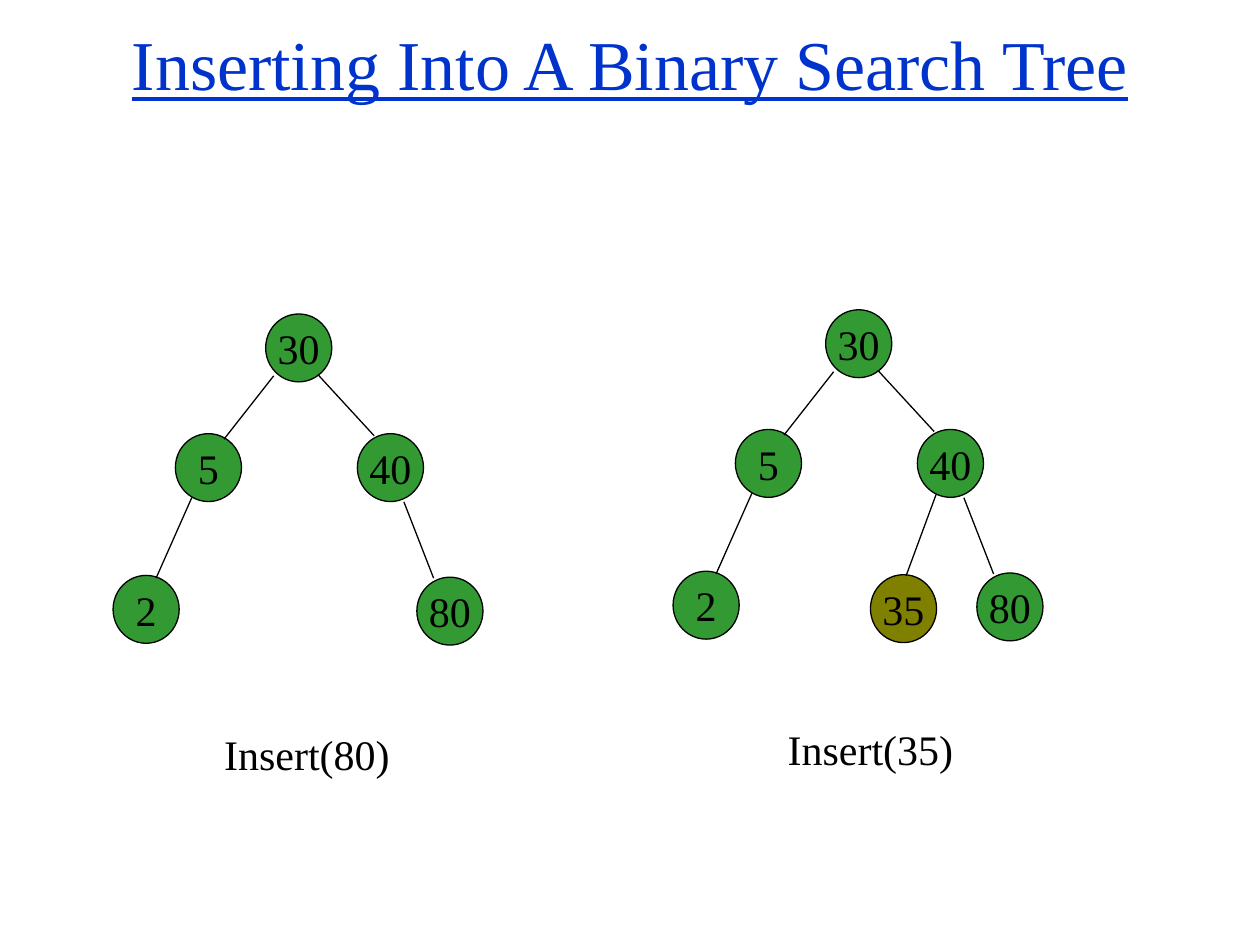
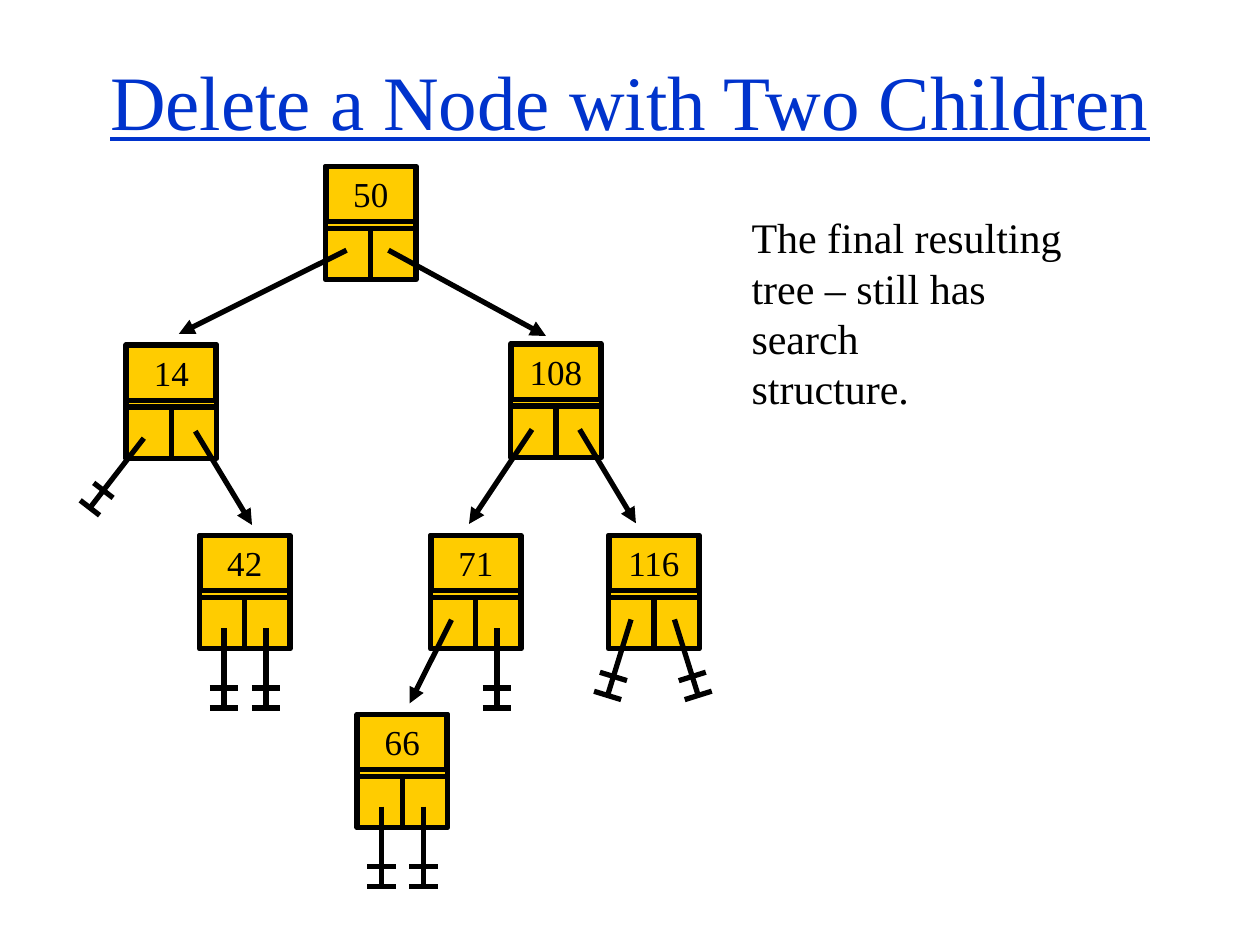
import math

import pptx
import pptx.dml.color
import pptx.enum.shapes
import pptx.enum.text
import pptx.oxml
import pptx.oxml.ns
import pptx.util

Pt = pptx.util.Pt
RGBColor = pptx.dml.color.RGBColor
MSO_SHAPE = pptx.enum.shapes.MSO_SHAPE
PP_ALIGN = pptx.enum.text.PP_ALIGN
MSO_ANCHOR = pptx.enum.text.MSO_ANCHOR

BLUE = RGBColor(0x00, 0x33, 0xCC)
BLACK = RGBColor(0x00, 0x00, 0x00)
GREEN = RGBColor(0x33, 0x99, 0x33)
OLIVE = RGBColor(0x80, 0x80, 0x00)
GOLD = RGBColor(0xFF, 0xCC, 0x00)

TREE_NODES = [("30", 151.8, 179.4), ("5", 100.2, 247.8), ("40", 204.2, 247.8),
              ("2", 64.6, 328.8), ("80", 238.2, 329.8)]
TREE_EDGES = [(156.4, 214.8, 128, 251), (109.6, 284.4, 89.2, 330.4),
              (181.6, 214, 213.8, 249), (230.8, 286.8, 247.8, 330.4)]

RECORDS = [("14", 72, 197.2), ("50", 186, 95), ("71", 246, 306), ("116", 347.8, 306),
           ("66", 204, 408.2), ("42", 114, 306), ("108", 291.8, 196.6)]
ARROWS = [(111.6, 246.4, 144, 300), (198, 143, 102.2, 190.8), (222, 143, 312, 192),
          (258, 354.2, 234, 402), (304, 245.4, 268, 299.4), (331.2, 245.4, 363.4, 299)]
NULLS = [(128, 359, 128, 404.6), (152, 359, 152, 404.6), (218, 461, 218, 506.4),
         (242, 461, 242, 506.4), (284, 359, 284, 404.6), (385.4, 354, 399, 397.4),
         (360.6, 354, 347.2, 397.4)]


class Deck:
    font = "Times New Roman"

    def __init__(self):
        self.prs = pptx.Presentation()
        self.prs.slide_width, self.prs.slide_height = Pt(720), Pt(540)
        self.s = None

    def slide(self, title, box, size):
        self.s = self.prs.slides.add_slide(self.prs.slide_layouts[6])
        sp = self.s.shapes.add_textbox(*map(Pt, box))
        self.set_text(sp, [title], size, BLUE, PP_ALIGN.CENTER, MSO_ANCHOR.MIDDLE, True)
        sp.text_frame.paragraphs[0].runs[0].font.underline = True

    def set_text(self, sp, lines, size, color=BLACK, align=PP_ALIGN.LEFT,
                 anchor=MSO_ANCHOR.TOP, wrap=False):
        tf = sp.text_frame
        tf.word_wrap = wrap
        tf.vertical_anchor = anchor
        p = tf.paragraphs[0]
        p.alignment = align
        p.line_spacing = Pt(size * 1.2)
        for i, line in enumerate(lines):
            if i:
                p.add_line_break()
            r = p.add_run()
            r.text = line
            r.font.name, r.font.size = self.font, Pt(size)
            r.font.color.rgb = color

    def label(self, lines, x, y, w, h):
        self.set_text(self.s.shapes.add_textbox(Pt(x), Pt(y), Pt(w), Pt(h)), lines, 24)

    def shape(self, kind, x, y, w, h, fill, weight, shapes=None):
        sp = (shapes or self.s.shapes).add_shape(kind, Pt(x), Pt(y), Pt(w), Pt(h))
        sp.shadow.inherit = False
        sp.fill.solid()
        sp.fill.fore_color.rgb = fill
        sp.line.color.rgb = BLACK
        sp.line.width = Pt(weight)
        return sp

    def line(self, x1, y1, x2, y2, weight, arrow=False, shapes=None):
        c = (self.s.shapes if shapes is None else shapes).add_connector(
            pptx.enum.shapes.MSO_CONNECTOR.STRAIGHT, Pt(x1), Pt(y1), Pt(x2), Pt(y2))
        c.line.color.rgb = BLACK
        c.line.width = Pt(weight)
        ns = pptx.oxml.ns.nsdecls("a")
        if arrow:
            ln = c._element.spPr.find(pptx.oxml.ns.qn("a:ln"))
            ln.append(pptx.oxml.parse_xml(f'<a:tailEnd {ns} type="triangle"/>'))
        c._element.spPr.append(pptx.oxml.parse_xml(f"<a:effectLst {ns}/>"))

    def circle(self, text, x, y, fill=GREEN):
        sp = self.shape(MSO_SHAPE.OVAL, x, y, 37.8, 38.8, fill, 0.75)
        self.set_text(sp, [text], 24, align=PP_ALIGN.CENTER, anchor=MSO_ANCHOR.MIDDLE)

    def tree(self, dx, dy):
        for text, x, y in TREE_NODES:
            self.circle(text, x + dx, y + dy)
        for x1, y1, x2, y2 in TREE_EDGES:
            self.line(x1 + dx, y1 + dy, x2 + dx, y2 + dy, 0.75)

    def record(self, text, x, y):
        for dx, dy, w, h in [(0, 0, 51.8, 35.4), (0, 35.4, 25.9, 29.4),
                             (25.9, 35.4, 25.9, 29.4), (0.3, 0, 51.2, 31.6)]:
            sp = self.shape(MSO_SHAPE.RECTANGLE, x + dx, y + dy, w, h, GOLD, 3)
        self.set_text(sp, [text], 20, align=PP_ALIGN.CENTER, wrap=True)

    def null_link(self, x1, y1, x2, y2, half=8.1):
        shapes = self.s.shapes.add_group_shape().shapes
        self.line(x1, y1, x2, y2, 3, shapes=shapes)
        length = math.hypot(x2 - x1, y2 - y1)
        bx, by = half * (y2 - y1) / length, half * (x1 - x2) / length
        for t in (0.75, 1):
            x, y = x1 + t * (x2 - x1), y1 + t * (y2 - y1)
            self.line(x - bx, y - by, x + bx, y + by, 3, shapes=shapes)


def main():
    deck = Deck()

    deck.slide("Inserting Into A Binary Search Tree", (0, 0, 720, 72), 40)
    deck.tree(0, 0)
    deck.tree(320, -2.4)
    deck.circle("35", 497.4, 328.4, OLIVE)
    deck.line(535, 282.4, 517.8, 329, 0.75)
    deck.label(["Insert(80)"], 121, 412.8, 108.8, 36)
    deck.label(["Insert(35)"], 443, 409.8, 108.8, 36)

    deck.slide("Delete a Node with Two Children", (54, 30, 612, 54), 44)
    for record in RECORDS:
        deck.record(*record)
    for arrow in ARROWS:
        deck.line(*arrow, 3, arrow=True)
    for link in NULLS:
        deck.null_link(*link)
    deck.null_link(82.2, 250.4, 51.4, 290.2, half=7)
    deck.label(["The final resulting", "tree – still has search", "structure."],
               422.4, 117.4, 215.2, 93.6)

    deck.prs.save("out.pptx")


if __name__ == "__main__":
    main()
